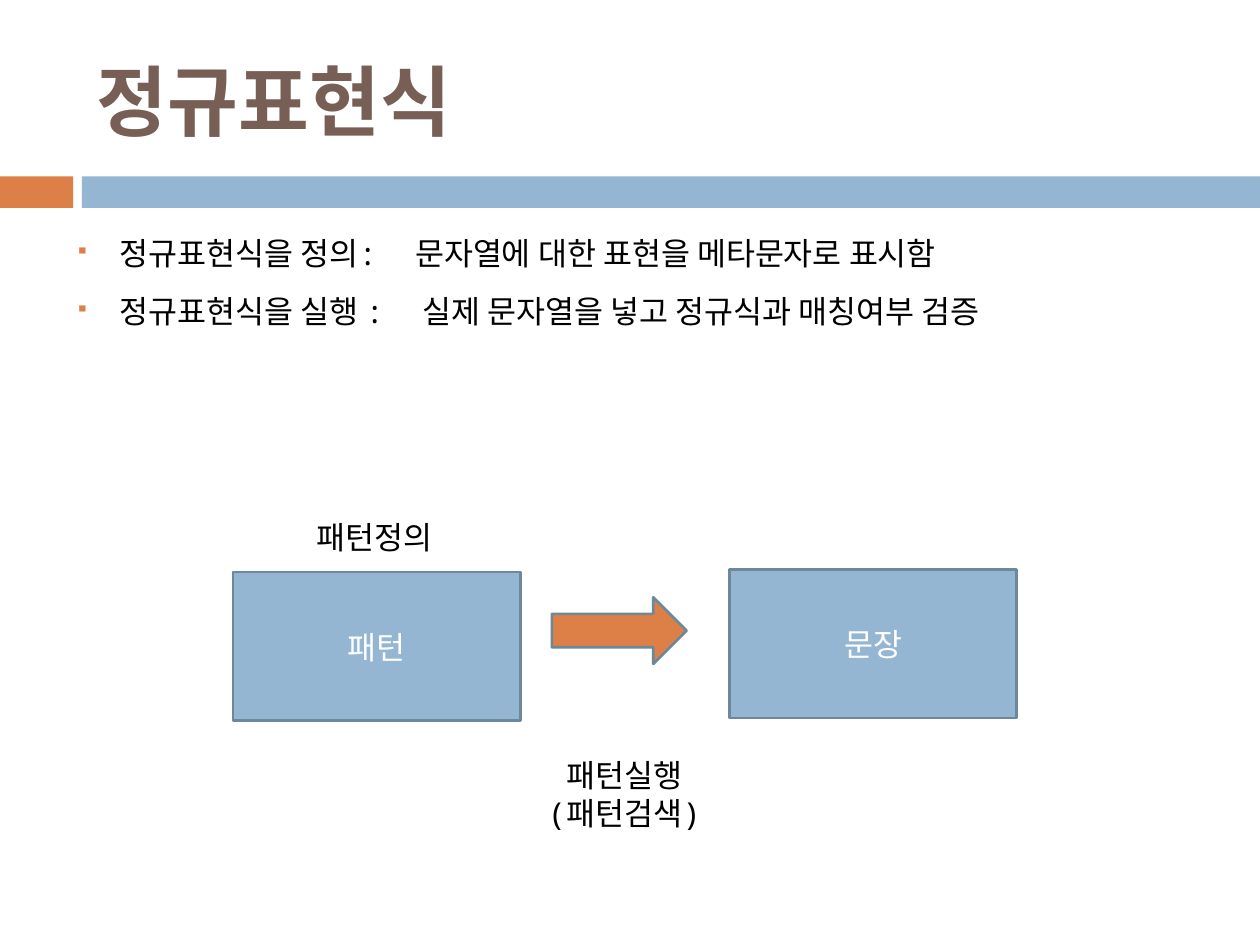
from lxml import etree
from pptx import Presentation
from pptx import util as u
from pptx.dml.color import RGBColor
from pptx.enum import shapes, text
from pptx.oxml import ns

WIDTH, HEIGHT = 10, 7.5
FONT = "Noto Sans Mono"
COLORS = {
    "title": "775F55",
    "accent": "DD8047",
    "main": "94B6D2",
    "outline": "6D879B",
    "body": "000000",
    "light": "FFFFFF",
}
BODY = {"size": u.Pt(18), "name": FONT}
TITLE = {"size": u.Pt(44), "name": FONT, "bold": True}
CENTERED = {"alignment": text.PP_ALIGN.CENTER}
INDENT = 0.35
BOX_W, BOX_H = 2.28, 1.18
CAPTION_W = 1.65

DEFINITIONS = [
    "정규표현식을 정의:  문자열에 대한 표현을 메타문자로 표시함",
    "정규표현식을 실행 :  실제 문자열을 넣고 정규식과 매칭여부 검증",
]


def color(key):
    return RGBColor.from_string(COLORS[key])


def inches(*lengths):
    return [u.Inches(length) for length in lengths]


def apply_format(target, values):
    for attribute, value in values.items():
        setattr(target, attribute, value)


def write_lines(frame, lines, font, color_key, layout=None, bulleted=False):
    frame.word_wrap = True
    for index, line in enumerate(lines):
        paragraph = frame.paragraphs[0] if index == 0 else frame.add_paragraph()
        if bulleted:
            add_bullet(paragraph)
            if index:
                paragraph.space_before = u.Pt(7)
        apply_format(paragraph, layout or {})
        run = paragraph.add_run()
        run.text = line
        apply_format(run.font, font)
        run.font.color.rgb = color(color_key)


def add_bullet(paragraph):
    properties = paragraph._p.get_or_add_pPr()
    properties.set("marL", str(u.Inches(INDENT)))
    properties.set("indent", str(-u.Inches(INDENT)))
    bullet_color = etree.SubElement(properties, ns.qn("a:buClr"))
    etree.SubElement(bullet_color, ns.qn("a:srgbClr"), val=COLORS["accent"])
    etree.SubElement(properties, ns.qn("a:buSzPct"), val="60000")
    etree.SubElement(properties, ns.qn("a:buChar"), char="▪")


def add_block(slide, kind, area, fill, outlined=True):
    block = slide.shapes.add_shape(kind, *inches(*area))
    block.shadow.inherit = False
    block.fill.solid()
    block.fill.fore_color.rgb = color(fill)
    if outlined:
        block.line.color.rgb = color("outline")
        block.line.width = u.Pt(1.5)
    else:
        block.line.fill.background()
    return block


def add_header(slide):
    top, height, accent_w, main_left = 1.4, 0.25, 0.58, 0.65
    bands = [(0, accent_w, "accent"), (main_left, WIDTH - main_left, "main")]
    for left, width, fill in bands:
        add_block(slide, shapes.MSO_SHAPE.RECTANGLE,
                  (left, top, width, height), fill, outlined=False)
    title = slide.shapes.add_textbox(*inches(0.67, 0.25, 8.92, 1.08))
    title.text_frame.vertical_anchor = text.MSO_ANCHOR.MIDDLE
    write_lines(title.text_frame, ["정규표현식"], TITLE, "title")


def add_definitions(slide):
    definitions = slide.shapes.add_textbox(*inches(0.5, 1.75, 9, 2.24))
    write_lines(definitions.text_frame, DEFINITIONS, BODY, "body",
                {"line_spacing": 1.2}, bulleted=True)


def add_stage(slide, left, top, label):
    stage = add_block(slide, shapes.MSO_SHAPE.RECTANGLE,
                      (left, top, BOX_W, BOX_H), "main")
    stage.text_frame.vertical_anchor = text.MSO_ANCHOR.MIDDLE
    write_lines(stage.text_frame, [label], BODY, "light", CENTERED)


def add_caption(slide, left, top, height, lines):
    caption = slide.shapes.add_textbox(*inches(left, top, CAPTION_W, height))
    write_lines(caption.text_frame, lines, BODY, "body", CENTERED)
    caption.text_frame.auto_size = text.MSO_AUTO_SIZE.SHAPE_TO_FIT_TEXT


def main():
    deck = Presentation()
    deck.slide_width, deck.slide_height = inches(WIDTH, HEIGHT)
    slide = deck.slides.add_slide(deck.slide_layouts[6])
    add_header(slide)
    add_definitions(slide)
    add_stage(slide, 1.85, 4.54, "패턴")
    add_stage(slide, 5.79, 4.52, "문장")
    add_block(slide, shapes.MSO_SHAPE.RIGHT_ARROW, (4.38, 4.74, 1.07, 0.53), "accent")
    add_caption(slide, 2.15, 4.06, 0.4, ["패턴정의"])
    add_caption(slide, 4.13, 5.95, 0.71, ["패턴실행", "(패턴검색)"])
    deck.save("out.pptx")


if __name__ == "__main__":
    main()
